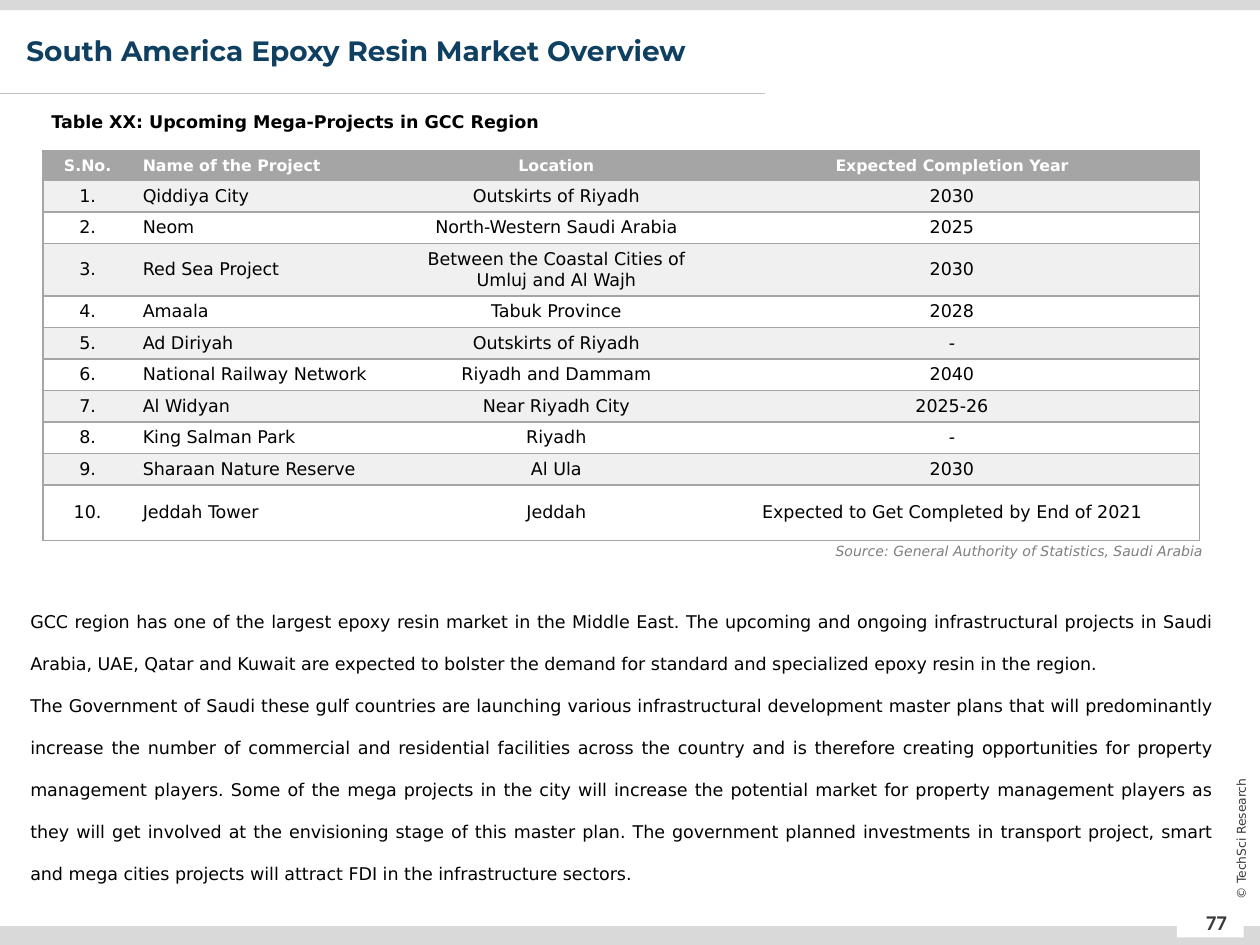
from lxml.etree import SubElement
from pptx import Presentation
from pptx.dml.color import RGBColor
from pptx.enum.shapes import MSO_CONNECTOR, MSO_SHAPE
from pptx.enum.text import MSO_ANCHOR, MSO_AUTO_SIZE, PP_ALIGN
from pptx.oxml import parse_xml
from pptx.oxml.ns import nsdecls, qn
from pptx.util import Inches, Pt

COLS, ROWS = 100, 75
WHITE, BLACK, BAR, GREY, BAND = "FFFFFF", "000000", "D9D9D9", "A5A5A5", "F0F0F0"
NAVY, DARK, RULE, MUTED = "0F4061", "3B3838", "BFBFBF", "7F7F7F"
LEFT, CENTER, RIGHT, JUSTIFY = (PP_ALIGN.LEFT, PP_ALIGN.CENTER,
                                PP_ALIGN.RIGHT, PP_ALIGN.JUSTIFY)

PROJECTS = [
    ("Qiddiya City", "Outskirts of Riyadh", "2030"),
    ("Neom", "North-Western Saudi Arabia", "2025"),
    ("Red Sea Project", "Between the Coastal Cities of Umluj and Al Wajh", "2030"),
    ("Amaala", "Tabuk Province", "2028"),
    ("Ad Diriyah", "Outskirts of Riyadh", "-"),
    ("National Railway Network", "Riyadh and Dammam", "2040"),
    ("Al Widyan", "Near Riyadh City", "2025-26"),
    ("King Salman Park", "Riyadh", "-"),
    ("Sharaan Nature Reserve", "Al Ula", "2030"),
    ("Jeddah Tower", "Jeddah", "Expected to Get Completed by End of 2021"),
]
HEADER = ("S.No.", "Name of the Project", "Location", "Expected Completion Year")
BODY = [
    "GCC region has one of the largest epoxy resin market in the Middle East. "
    "The upcoming and ongoing infrastructural projects in Saudi Arabia, UAE, Qatar "
    "and Kuwait are expected to bolster the demand for standard and specialized "
    "epoxy resin in the region.",
    "The Government of Saudi these gulf countries are launching various "
    "infrastructural development master plans that will predominantly increase the "
    "number of commercial and residential facilities across the country and is "
    "therefore creating opportunities for property management players. Some of the "
    "mega projects in the city will increase the potential market for property "
    "management players as they will get involved at the envisioning stage of this "
    "master plan. The government planned investments in transport project, smart and "
    "mega cities projects will attract FDI in the infrastructure sectors.",
]


def rgb(code):
    return RGBColor.from_string(code)


class Deck:
    """Current slide plus its style; lengths are cells of a 100 x 75 grid."""

    def __init__(self, font):
        self.font = font
        self.prs = Presentation()
        self.prs.slide_width, self.prs.slide_height = Inches(10), Inches(7.5)
        self.dx = self.prs.slide_width / COLS
        self.dy = self.prs.slide_height / ROWS
        self.s = self.prs.slides.add_slide(self.prs.slide_layouts[1])

    def place(self, x, y, w, h):
        return (round(x * self.dx), round(y * self.dy),
                round(w * self.dx), round(h * self.dy))

    def add_lines(self, tf, lines, size, color, align=LEFT, bold=False, italic=False,
                  font=None, spacing=1.0):
        for i, line in enumerate(lines):
            p = tf.add_paragraph() if i else tf.paragraphs[0]
            p.alignment, p.line_spacing = align, spacing
            p.space_before = Pt(0)
            r = p.add_run()
            r.text = line
            f = r.font
            f.name, f.size, f.bold, f.italic = font or self.font, Pt(size), bold, italic
            f.color.rgb = rgb(color)

    def rect(self, box, color):
        sp = self.s.shapes.add_shape(MSO_SHAPE.RECTANGLE, *self.place(*box))
        sp.shadow.inherit = False
        sp.fill.solid()
        sp.fill.fore_color.rgb = rgb(color)
        sp.line.fill.background()

    def rule(self, x, y, w, color, width):
        x, y, w, _ = self.place(x, y, w, 0)
        line = self.s.shapes.add_connector(MSO_CONNECTOR.STRAIGHT, x, y, x + w, y)
        line.line.color.rgb = rgb(color)
        line.line.width = Pt(width)
        SubElement(line._element.spPr, qn("a:effectLst"))

    def text(self, box, line, size, color, anchor=MSO_ANCHOR.TOP, rotation=0,
             wrap=True, **style):
        sp = self.s.shapes.add_textbox(*self.place(*box))
        sp.rotation = rotation
        tf = sp.text_frame
        tf.word_wrap, tf.vertical_anchor = wrap, anchor
        self.add_lines(tf, [line], size, color, **style)

    def placeholder(self, idx, box, lines, size, color, **style):
        sp = self.s.placeholders[idx]
        sp.left, sp.top, sp.width, sp.height = self.place(*box)
        tf = sp.text_frame
        tf.auto_size, tf.vertical_anchor = MSO_AUTO_SIZE.NONE, MSO_ANCHOR.TOP
        self.add_lines(tf, lines, size, color, **style)
        if idx:
            for p in tf.paragraphs:
                pPr = p._p.get_or_add_pPr()
                pPr.set("marL", "0")
                pPr.set("indent", "0")
                SubElement(pPr, qn("a:buNone"))

    def borders(self, cell, visible):
        """Draw the sides named in visible and hide the others."""
        tcPr = cell._tc.get_or_add_tcPr()
        for i, side in enumerate("LRTB"):
            fill = (f'<a:solidFill><a:srgbClr val="{GREY}"/></a:solidFill>'
                    if side in visible else "<a:noFill/>")
            tcPr.insert(i, parse_xml(
                f'<a:ln{side} {nsdecls("a")} w="{Pt(1)}">{fill}</a:ln{side}>'))

    def table(self, box, widths, heights, rows):
        frame = self.s.shapes.add_table(len(rows), len(widths), *self.place(*box))
        t = frame.table
        t.first_row = t.horz_banding = False
        for col, w in zip(t.columns, widths):
            col.width = round(w * self.dx)
        for row, h in zip(t.rows, heights):
            row.height = round(h * self.dy)
        last = len(widths) - 1
        for i, row in enumerate(rows):
            head = i == 0
            for j, value in enumerate(row):
                cell = t.cell(i, j)
                cell.margin_left = cell.margin_right = Pt(6)
                cell.margin_top = cell.margin_bottom = Pt(3)
                cell.vertical_anchor = MSO_ANCHOR.MIDDLE
                cell.fill.solid()
                cell.fill.fore_color.rgb = rgb(GREY if head else BAND if i % 2 else WHITE)
                self.borders(cell, "TB" + "L" * (j == 0) + "R" * (j == last))
                self.add_lines(cell.text_frame, [value], 9 if head else 10,
                               WHITE if head else BLACK, bold=head,
                               align=LEFT if j == 1 else CENTER)


def main():
    d = Deck("DejaVu Sans")
    d.rect((0, 0, COLS, 0.8), BAR)
    d.rule(0, 7.4, 60.7, RULE, 0.5)
    d.rect((0, 73.5, COLS, 1.5), BAR)
    d.rect((93.4, 72.2, 5.3, 2.2), WHITE)
    d.text((94.1, 71.2, 4.9, 4), "77", 12, DARK, anchor=MSO_ANCHOR.MIDDLE,
           align=CENTER, bold=True, font="Calibri")
    d.text((92.5, 65.8, 12, 1.6), "© TechSci Research", 7, DARK,
           anchor=MSO_ANCHOR.MIDDLE, rotation=270, align=CENTER)

    d.placeholder(0, (1.1, 2.5, 66.8, 5), ["South America Epoxy Resin Market Overview"],
                  16, NAVY, bold=True, font="Montserrat", spacing=0.9)
    d.placeholder(1, (1.4, 46.3, 95.8, 24), BODY, 10, BLACK, align=JUSTIFY, spacing=2.0)

    d.text((3.1, 7.5, 92.1, 3.2), "Table XX: Upcoming Mega-Projects in GCC Region",
           10, BLACK, bold=True, spacing=1.5)
    rows = [HEADER] + [(f"{n}.", *project) for n, project in enumerate(PROJECTS, 1)]
    heights = [2, 2.2, 2.2, 3.6] + [2.2] * 6 + [4.4]
    d.table((3.4, 12, 91.7, 30.5), (7.1, 21.9, 23.5, 39.3), heights, rows)
    d.text((64.7, 42.6, 31.8, 2.4), "Source: General Authority of Statistics, Saudi Arabia",
           8, MUTED, wrap=False, align=RIGHT, italic=True)
    d.prs.save("out.pptx")


if __name__ == "__main__":
    main()
